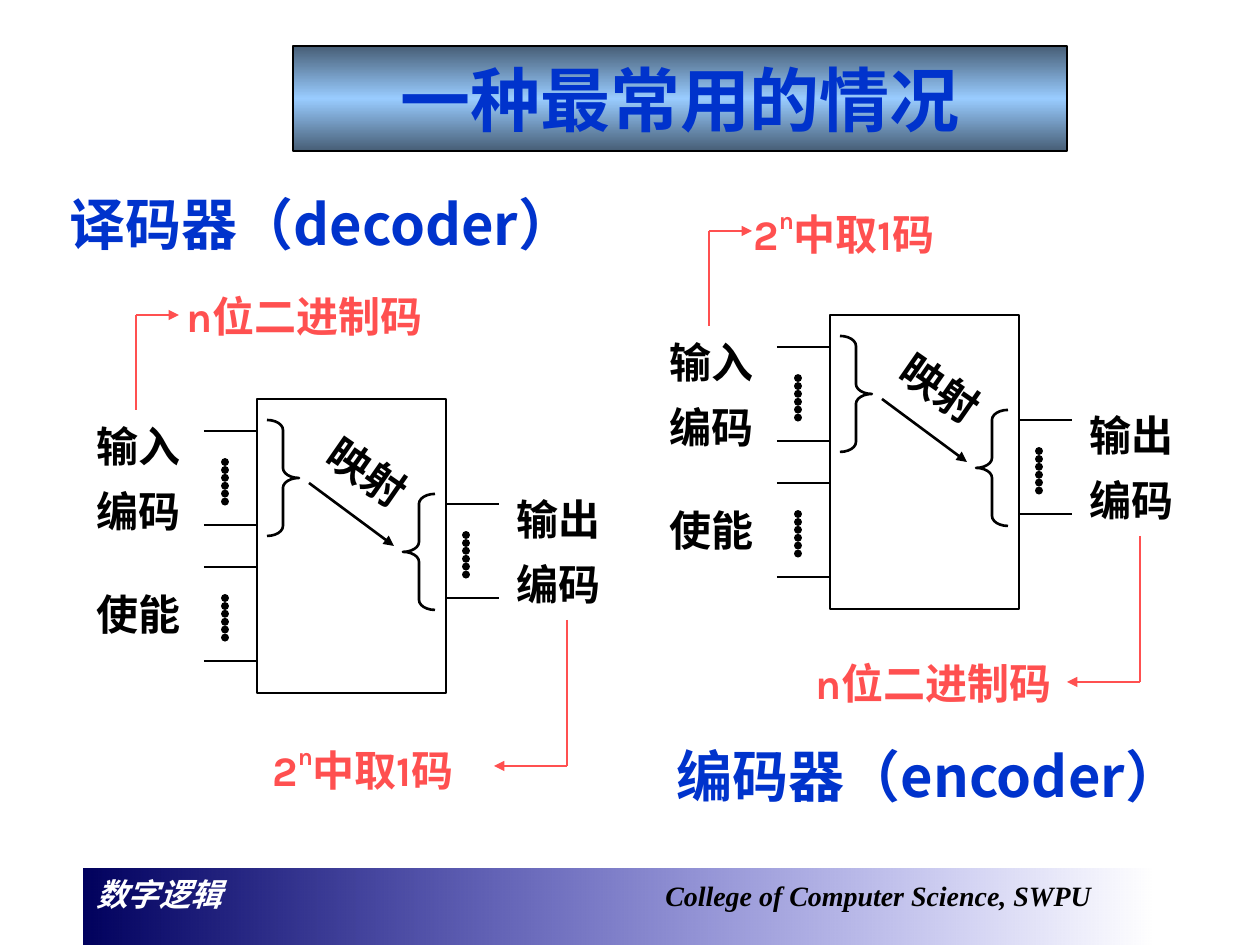
from lxml.etree import SubElement
from pptx import Presentation
from pptx.dml.color import RGBColor
from pptx.enum.shapes import MSO_CONNECTOR, MSO_SHAPE
from pptx.enum.text import MSO_ANCHOR, MSO_AUTO_SIZE, PP_ALIGN
from pptx.oxml.ns import qn
from pptx.util import Pt

PX = 914400 / 126
BLACK, BLUE, RED, WHITE = "000000", "0033CC", "FF5050", "FFFFFF"
LABEL, NOTE, HEAD, FOOT = "Arial Narrow", "Karla", "Noto Sans CJK JP", "Times New Roman"


def px(*nums):
    return [round(n * PX) for n in nums]


def color(code):
    return RGBColor.from_string(code)


def add_run(para, text, font, size, tint, italic=None, raised=False):
    run = para.add_run()
    run.text = text
    run.font.name = font
    run.font.size = Pt(size)
    run.font.bold = True
    run.font.italic = italic
    run.font.color.rgb = color(tint)
    if raised:
        run._r.get_or_add_rPr().set("baseline", "50000")


def add_text(slide, box, lines, font, size, tint, spacing=None, turn=0):
    """Each line is a list of (text, raised) runs."""
    shape = slide.shapes.add_textbox(*px(*box))
    shape.rotation = turn
    frame = shape.text_frame
    frame.word_wrap = False
    frame.auto_size = MSO_AUTO_SIZE.SHAPE_TO_FIT_TEXT
    for i, line in enumerate(lines):
        para = frame.add_paragraph() if i else frame.paragraphs[0]
        para.line_spacing = spacing
        for text, raised in line:
            add_run(para, text, font, size, tint, raised=raised)


def add_label(slide, box, *words, spacing=1.3, turn=0):
    lines = [[(word, False)] for word in words]
    add_text(slide, box, lines, LABEL, 24, BLACK, spacing, turn)


def add_line(slide, ends, tint=BLACK, width=1.5, arrow=False, dots=False):
    line = slide.shapes.add_connector(MSO_CONNECTOR.STRAIGHT, *px(*ends))
    line.line.color.rgb = color(tint)
    line.line.width = Pt(width)
    ln = line.line._get_or_add_ln()
    if dots:
        ln.set("cap", "rnd")
        SubElement(ln, qn("a:prstDash"), val="sysDot")
    if arrow:
        SubElement(ln, qn("a:tailEnd"), type="triangle")
    SubElement(line._element.spPr, qn("a:effectLst"))


def add_shape(slide, kind, box, width=None):
    shape = slide.shapes.add_shape(kind, *px(*box))
    shape.shadow.inherit = False
    shape.fill.background()
    if width:
        shape.line.color.rgb = color(BLACK)
        shape.line.width = Pt(width)
    else:
        shape.line.fill.background()
    return shape


def add_fade(shape, stops, angle):
    """Each stop is (percent, color, opacity percent)."""
    shape.fill.gradient()
    shape.fill.gradient_angle = angle
    held = shape._element.spPr.find(qn("a:gradFill")).find(qn("a:gsLst"))
    for old in list(held):
        held.remove(old)
    for place, code, alpha in stops:
        stop = SubElement(held, qn("a:gs"), pos=str(place * 1000))
        tint = SubElement(stop, qn("a:srgbClr"), val=code)
        if alpha < 100:
            SubElement(tint, qn("a:alpha"), val=str(alpha * 1000))


def add_pins(slide, x, y, dot):
    """Two pins with a dense dotted line between them."""
    for top in (y, y + 94):
        add_line(slide, (x, top, x + 53, top))
    # The second line fills the gaps of the first
    for top in (y + 31, y + 39):
        add_line(slide, (dot, top, dot, top + 34), width=4.5, dots=True)


def add_brace(slide, kind, x, y):
    brace = add_shape(slide, kind, (x, y, 32, 116), 1.5)
    brace.adjustments[0] = 0.31


def add_bend(slide, x, y, bend, tip):
    add_line(slide, (x, y, x, bend), RED)
    add_line(slide, (x, bend, tip, bend), RED, arrow=True)


def add_coder(slide, x, y):
    """Block diagram; x, y is the corner of the block."""
    add_shape(slide, MSO_SHAPE.RECTANGLE, (x, y, 189, 294), 1.5)
    # Input, enable and output pins
    add_pins(slide, x - 53, y + 32, x - 32)
    add_pins(slide, x - 53, y + 168, x - 32)
    add_pins(slide, x + 189, y + 105, x + 209)
    # Mapping
    add_brace(slide, MSO_SHAPE.RIGHT_BRACE, x + 10, y + 21)
    add_brace(slide, MSO_SHAPE.LEFT_BRACE, x + 146, y + 95)
    add_line(slide, (x + 52, y + 84, x + 137, y + 147), arrow=True)
    add_label(slide, (x + 56, y + 42, 112, 63), "映射", spacing=None, turn=34.8)
    # Labels
    add_label(slide, (x - 173, y, 112, 144), "输入", "编码")
    add_label(slide, (x - 173, y + 168, 112, 78), "使能")
    add_label(slide, (x + 247, y + 73, 112, 144), "输出", "编码")
    # Arrows to the notes
    add_bend(slide, x - 121, y + 11, y - 84, x - 78)
    add_bend(slide, x + 310, y + 221, y + 367, x + 237)


def add_footer(slide):
    bar = add_shape(slide, MSO_SHAPE.RECTANGLE, (84, 869, 1071, 88))
    add_fade(bar, [(0, "00005E", 100), (100, "0000CC", 0)], 0)
    frame = bar.text_frame
    frame.vertical_anchor = MSO_ANCHOR.TOP
    para = frame.paragraphs[0]
    para.alignment = PP_ALIGN.LEFT
    tabs = SubElement(para._p.get_or_add_pPr(), qn("a:tabLst"))
    SubElement(tabs, qn("a:tab"), pos=str(px(569)[0]), algn="l")
    add_run(para, "数字逻辑\t", FOOT, 18, WHITE, italic=True)
    add_run(para, "College of Computer Science, SWPU", FOOT, 16, BLACK, italic=True)


def add_title(slide):
    bar = add_shape(slide, MSO_SHAPE.RECTANGLE, (293, 46, 774, 105), 0.75)
    add_fade(bar, [(0, "475E76", 100), (50, "99CCFF", 100), (100, "475E76", 100)], 90)
    frame = bar.text_frame
    frame.vertical_anchor = MSO_ANCHOR.MIDDLE
    para = frame.paragraphs[0]
    para.alignment = PP_ALIGN.CENTER
    add_run(para, "一种最常用的情况", NOTE, 40, BLUE)


def main():
    deck = Presentation()
    deck.slide_width, deck.slide_height = px(1260, 945)
    slide = deck.slides.add_slide(deck.slide_layouts[6])
    add_footer(slide)
    add_title(slide)

    # Decoder and encoder
    add_coder(slide, 257, 399)
    add_coder(slide, 830, 315)
    for x, y, text in ((57, 183, "译码器（decoder）"), (664, 735, "编码器（encoder）")):
        add_text(slide, (x, y, 559, 81), [[(text, False)]], HEAD, 32, BLUE)

    # Code notes
    binary = [[("n位二进制码", False)]]
    single = [[("2", False), ("n", True), ("中取1码", False)]]
    for x, y in ((174, 284), (803, 651)):
        add_text(slide, (x, y, 272, 63), binary, NOTE, 24, RED)
    for x, y in ((260, 735), (741, 199)):
        add_text(slide, (x, y, 246, 67), single, NOTE, 24, RED)

    deck.save("out.pptx")


if __name__ == "__main__":
    main()
